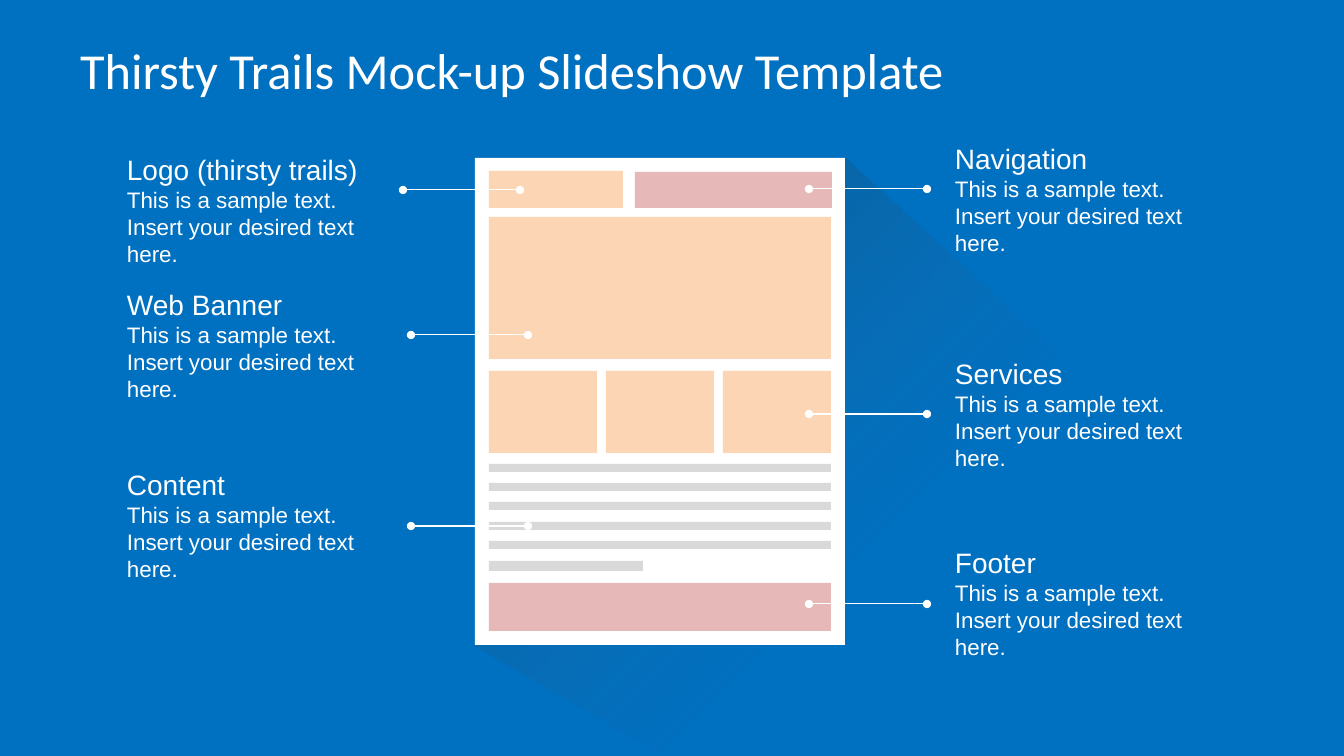
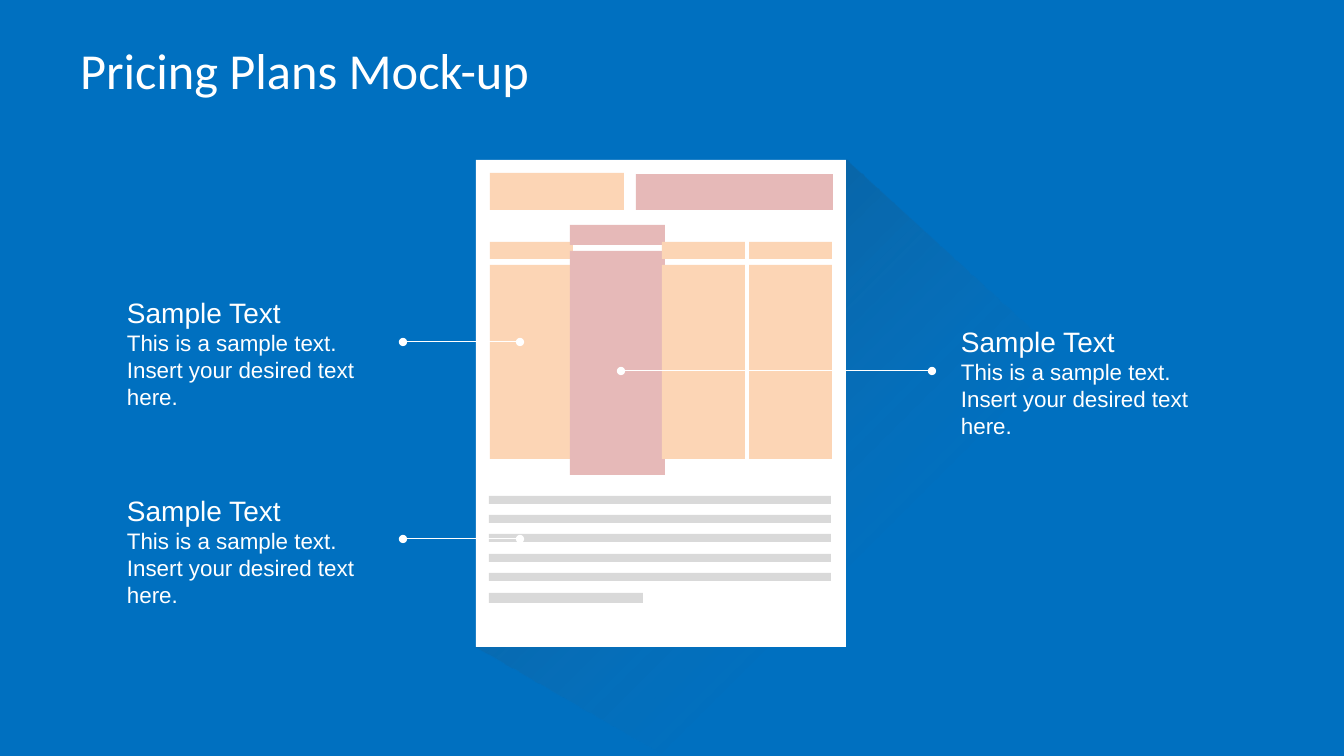
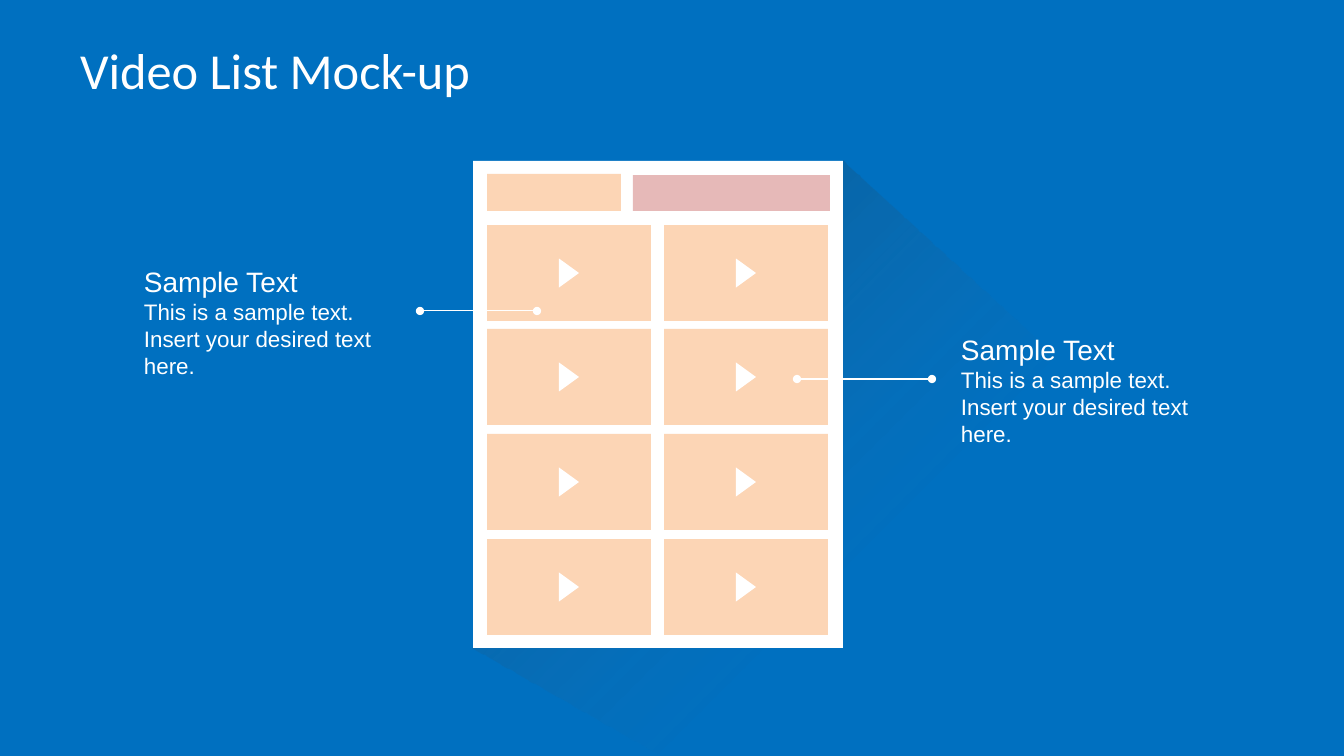
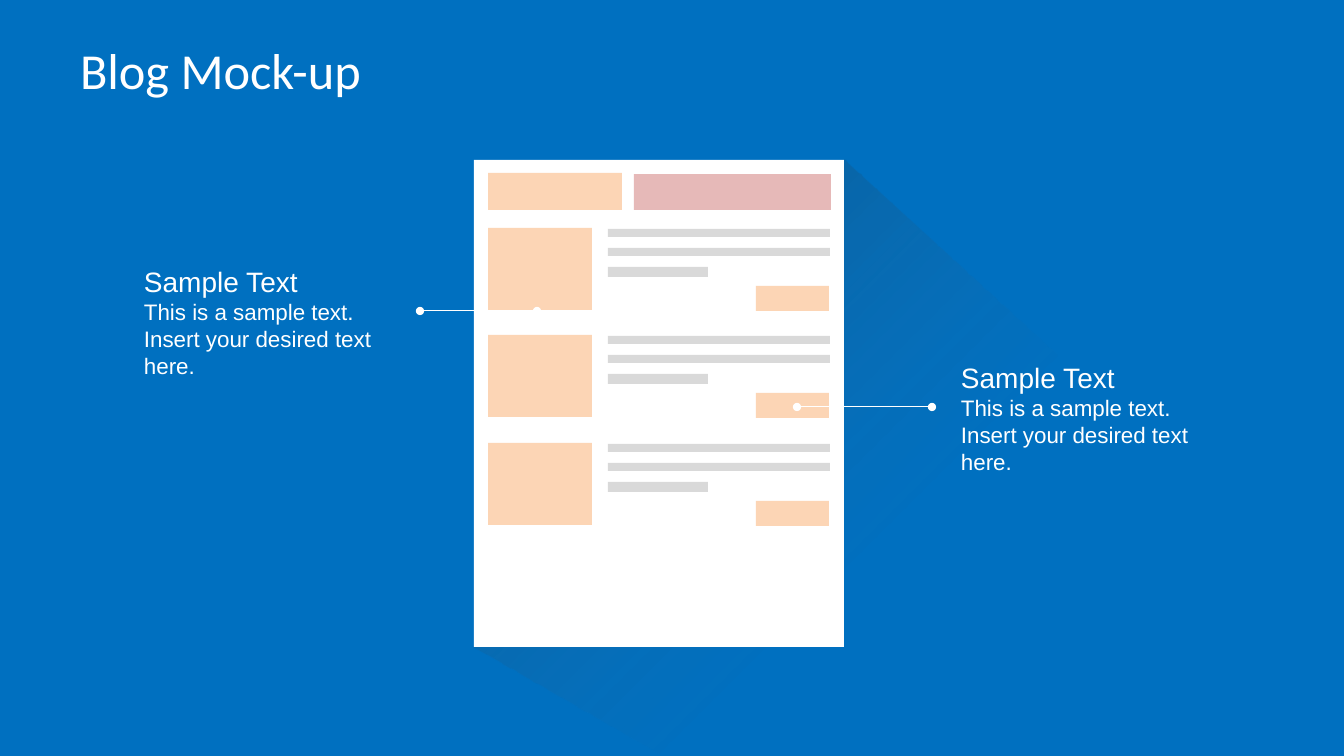
import dataclasses

import lxml.etree
import pptx
import pptx.dml.color
import pptx.enum.shapes
import pptx.enum.text
import pptx.oxml.ns
import pptx.util

SCALE = 914400 / 100.8
SLIDE_W, SLIDE_H = 1344, 756
PAGE_W, PAGE_H = 370, 487
MARGIN, CONTENT_W = 14, 342
SHAPES = pptx.enum.shapes.MSO_SHAPE
SAMPLE = ("This is a sample text.", "Insert your desired text here.")


@dataclasses.dataclass(frozen=True)
class Theme:
    """Colours, fonts and type sizes of the deck."""
    background: str = "0070C0"
    white: str = "FFFFFF"
    peach: str = "FCD5B5"
    rose: str = "E6B9B8"
    grey: str = "D9D9D9"
    shadow: tuple = ((0, "000000", 30), (0.59, "6B6B6B", 0))
    title_font: str = "Calibri"
    body_font: str = "Arial"
    title_size: int = 36
    heading_size: int = 20
    body_size: int = 16
    line_width: float = 0.75


def px(value):
    """Turn pixels into EMU."""
    return pptx.util.Emu(round(value * SCALE))


def rgb(value):
    """Turn a hex string into a colour."""
    return pptx.dml.color.RGBColor.from_string(value)


def add_xml(parent, tag, **attributes):
    """Append a child element to a drawing element."""
    return lxml.etree.SubElement(parent, pptx.oxml.ns.qn(tag), **attributes)


class Deck:
    """Holds the style, the current slide and its page origin."""

    def __init__(self, theme):
        """Start a presentation with the shared background."""
        self.theme = theme
        self.prs = pptx.Presentation()
        self.prs.slide_width, self.prs.slide_height = px(SLIDE_W), px(SLIDE_H)
        fill = self.prs.slide_master.background.fill
        fill.solid()
        fill.fore_color.rgb = rgb(theme.background)

    def mockup(self, title, left, top):
        """Add a slide with its title, page, shadow and header blocks."""
        self.slide = self.prs.slides.add_slide(self.prs.slide_layouts[5])
        self.left, self.top = left, top
        self.title(title)
        self.shadow()
        self.block(0, 0, PAGE_W, PAGE_H, self.theme.white)
        self.block(MARGIN, 13, 134, 37, self.theme.peach)
        self.block(160, 14, 197, 36, self.theme.rose)

    def title(self, text):
        """Place and format the title placeholder."""
        sp = self.slide.shapes.title
        sp.left, sp.top, sp.width, sp.height = px(67), px(30), px(1210), px(79)
        tf = sp.text_frame
        tf.vertical_anchor = pptx.enum.text.MSO_ANCHOR.MIDDLE
        tf.margin_left = tf.margin_right = px(13)
        tf.margin_top = tf.margin_bottom = px(7)
        p = tf.paragraphs[0]
        p.alignment = pptx.enum.text.PP_ALIGN.LEFT
        self.run(p, text, self.theme.title_font, self.theme.title_size)

    def run(self, p, text, font, size):
        """Add a white run to a paragraph."""
        r = p.add_run()
        r.text = text
        r.font.name = font
        r.font.size = pptx.util.Pt(size)
        r.font.color.rgb = rgb(self.theme.white)

    def shadow(self):
        """Draw the long fading shadow cast by the page."""
        x, y = self.left, self.top
        corners = [(x + 189, SLIDE_H), (x + 637, SLIDE_H),
                   (x + 733, y + 333), (x + PAGE_W, y)]
        builder = self.slide.shapes.build_freeform(x, y + PAGE_H, scale=SCALE)
        builder.add_line_segments(corners, close=True)
        sp = builder.convert_to_shape()
        sp.shadow.inherit = False
        sp.line.fill.background()
        sp.fill.gradient()
        sp.fill.gradient_angle = 315
        for stop, (position, color, _) in zip(sp.fill.gradient_stops, self.theme.shadow):
            stop.position = position
            stop.color.rgb = rgb(color)
        colors = sp._element.spPr.iter(pptx.oxml.ns.qn("a:srgbClr"))
        for color, (_, _, opacity) in zip(colors, self.theme.shadow):
            add_xml(color, "a:alpha", val=str(opacity * 1000))

    def block(self, x, y, w, h, color, kind=SHAPES.RECTANGLE):
        """Add a plain filled shape, measured from the page corner."""
        sp = self.slide.shapes.add_shape(
            kind, px(self.left + x), px(self.top + y), px(w), px(h))
        sp.shadow.inherit = False
        sp.fill.solid()
        sp.fill.fore_color.rgb = rgb(color)
        sp.line.fill.background()
        return sp

    def text_bars(self, x, y, w, count, last_w):
        """Add grey bars for lines of text, the last one short."""
        for i in range(count):
            last = i == count - 1
            self.block(x, y + i * 97 // 5, last_w if last else w,
                       10 if last else 8, self.theme.grey)

    def plan(self, x, y, w, head_h, body_y, body_h, color):
        """Add a pricing column with a head and a body."""
        self.block(x, y, w, head_h, color)
        self.block(x, body_y, w, body_h, color)

    def video(self, x, y, w, h):
        """Add a video tile with a centred play mark."""
        self.block(x, y, w, h, self.theme.peach)
        mark_w, mark_h = 29, 20
        mark = self.block(x + (w - mark_w) / 2, y + (h - mark_h) / 2, mark_w, mark_h,
                          self.theme.white, SHAPES.ISOSCELES_TRIANGLE)
        mark.rotation = 90

    def post(self, y):
        """Add a blog entry: thumbnail, text bars and button."""
        self.block(MARGIN, y, 104, 82, self.theme.peach)
        self.text_bars(134, y + 1, 222, 3, 100)
        self.block(282, y + 58, 73, 25, self.theme.peach)

    def callout(self, x, y, start, end, drop=51, heading="Sample Text"):
        """Add a note and its pointer, drop pixels below the note's top."""
        sp = self.slide.shapes.add_textbox(px(x), px(y), px(273), px(126))
        tf = sp.text_frame
        tf.word_wrap = True
        tf.auto_size = pptx.enum.text.MSO_AUTO_SIZE.SHAPE_TO_FIT_TEXT
        self.run(tf.paragraphs[0], heading, self.theme.body_font, self.theme.heading_size)
        for text in SAMPLE:
            self.run(tf.add_paragraph(), text, self.theme.body_font, self.theme.body_size)
        self.pointer(start, end, y + drop)

    def pointer(self, start, end, y):
        """Add a level line with a dot at each end."""
        line = self.slide.shapes.add_connector(
            pptx.enum.shapes.MSO_CONNECTOR.STRAIGHT, px(start), px(y), px(end), px(y))
        line.line.color.rgb = rgb(self.theme.white)
        line.line.width = pptx.util.Pt(self.theme.line_width)
        properties = line._element.spPr
        ln = properties.find(pptx.oxml.ns.qn("a:ln"))
        for tag in ("a:headEnd", "a:tailEnd"):
            add_xml(ln, tag, type="oval")
        add_xml(properties, "a:effectLst")


def home_slide(deck):
    """Build the home page mock-up."""
    theme = deck.theme
    deck.mockup("Thirsty Trails Mock-up Slideshow Template", 475, 158)
    deck.block(MARGIN, 59, CONTENT_W, 142, theme.peach)
    for i in range(3):
        deck.block(MARGIN + i * 117, 213, 108, 82, theme.peach)
    deck.text_bars(MARGIN, 306, CONTENT_W, 6, 154)
    deck.block(MARGIN, 425, CONTENT_W, 48, theme.rose)
    deck.callout(117, 148, 520, 403, 42, "Logo (thirsty trails)")
    deck.callout(945, 137, 927, 809, 52, "Navigation")
    deck.callout(117, 283, 528, 411, 52, "Web Banner")
    deck.callout(945, 352, 927, 809, 62, "Services")
    deck.callout(945, 541, 927, 809, 63, "Footer")
    deck.callout(117, 463, 528, 411, 63, "Content")


def pricing_slide(deck):
    """Build the pricing plans mock-up with its second plan enlarged."""
    theme = deck.theme
    deck.mockup("Pricing Plans Mock-up", 476, 160)
    deck.text_bars(MARGIN - 1, 336, CONTENT_W, 6, 154)
    for i in range(4):
        x = MARGIN + i * 259 // 3
        if i == 1:
            deck.plan(x - 6, 65, 95, 20, 91, 224, theme.rose)
        else:
            deck.plan(x, 82, 83, 17, 105, 194, theme.peach)
    deck.callout(117, 291, 520, 403)
    deck.callout(951, 320, 932, 621)
    deck.callout(117, 489, 520, 403, 50)


def video_slide(deck):
    """Build the video list mock-up."""
    deck.mockup("Video List Mock-up", 473, 161)
    for row in range(4):
        for column in range(2):
            deck.video(MARGIN + column * 177, 64 + row * 314 // 3, 164, 96)
    deck.callout(134, 260, 537, 420)
    deck.callout(951, 328, 932, 797)


def blog_slide(deck):
    """Build the blog mock-up."""
    deck.mockup("Blog Mock-up", 474, 160)
    for i in range(3):
        deck.post(68 + i * 215 // 2)
    deck.callout(134, 260, 537, 420)
    deck.callout(951, 356, 932, 797)


deck = Deck(Theme())
for build in (home_slide, pricing_slide, video_slide, blog_slide):
    build(deck)
deck.prs.save("out.pptx")
